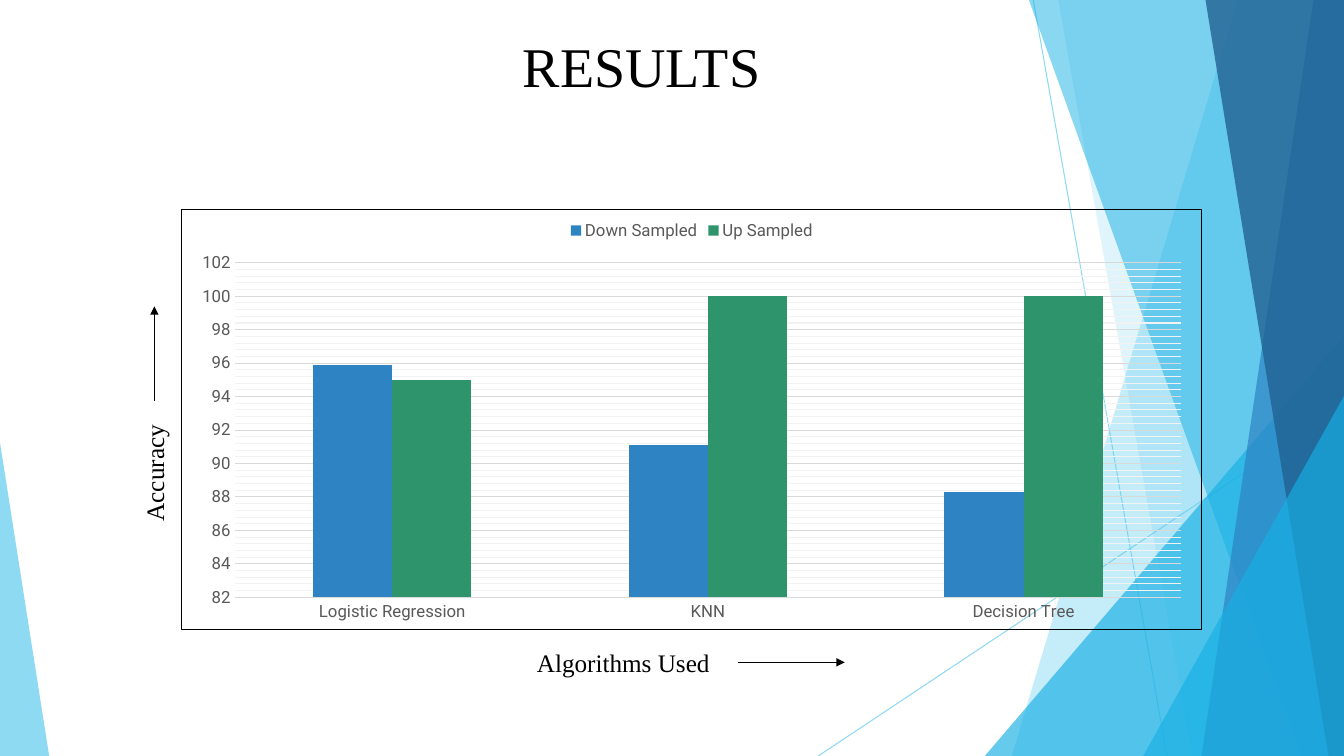
import pptx
import pptx.chart.data
import pptx.dml.color
import pptx.enum.chart
import pptx.enum.shapes
import pptx.oxml
import pptx.oxml.ns
import pptx.util
# Content; lengths in centimetres
WIDTH, HEIGHT = 33.87, 19.05
CATEGORIES = ["Logistic Regression", "KNN", "Decision Tree"]
SERIES = [
    ("Down Sampled", (95.9, 91.1, 88.3), "2E83C3"),
    ("Up Sampled", (95, 100, 100), "2E946B"),
]
CHART_BOX = (4.57, 5.26, 25.73, 10.62)

# text, box, size, rotation
LABELS = [
    ("RESULTS", (12.93, 0.66, 14.73, 1.96), 40, 0),
    ("Algorithms Used", (13.28, 16.18, 8, 1.02), 18, 0),
    ("Accuracy", (1.73, 10.72, 4.32, 1.02), 18, 270),
]
ARROWS = [(3.89, 10.11, 3.89, 7.72), (18.59, 16.69, 21.29, 16.69)]

# Background: thin lines, then facets from back to front
RAYS = [(26.04, 0, 29.41, HEIGHT), (WIDTH, 10.24, 20.62, HEIGHT)]
FACETS = [
    # kind, geometry, colour, opacity in percent
    # band: left edge at top and at bottom; triangle: left, top, width, apex
    ("band", (31.19, 25.5), "5FCBEF", 36),
    ("band", (26.67, 30.05), "5FCBEF", 20),
    ("triangle", (24.82, 8.46, 9.05, 1), "17B0E4", 66),
    ("band", (25.93, 32.79), "17B0E4", 50),
    ("band", (33.1, 30.28), "2E83C3", 70),
    ("band", (30.38, 33.48), "226292", 80),
    ("triangle", (28.81, 9.98, 5.06, 1), "17B0E4", 66),
    ("triangle", (0, 11.15, 1.24, 0), "5FCBEF", 70),
]


def cm(lengths):
    return [pptx.util.Cm(length) for length in lengths]


def paint(color_format, color):
    color_format.rgb = pptx.dml.color.RGBColor.from_string(color)


def add_xml(parent, tag, **attributes):
    element = pptx.oxml.parse_xml(f"<{tag} {pptx.oxml.ns.nsdecls('a')}/>")
    for name, value in attributes.items():
        element.set(name, str(value))
    parent.append(element)


def set_opacity(element, percent):
    color = element.find(".//" + pptx.oxml.ns.qn("a:srgbClr"))
    add_xml(color, "a:alpha", val=percent * 1000)


def style_line(line, color, width=0.75):
    paint(line.color, color)
    line.width = pptx.util.Pt(width)


def add_line(slide, ends, color, width):
    connector = slide.shapes.add_connector(
        pptx.enum.shapes.MSO_CONNECTOR.STRAIGHT, *cm(ends))
    style_line(connector.line, color, width)
    add_xml(connector._element.spPr, "a:effectLst")
    return connector


def add_facet(slide, kind, geometry, color, opacity):
    if kind == "band":
        top, bottom = geometry
        builder = slide.shapes.build_freeform(pptx.util.Cm(top), 0)
        corners = [(WIDTH, 0), (WIDTH, HEIGHT), (bottom, HEIGHT)]
        builder.add_line_segments([cm(corner) for corner in corners], close=True)
        shape = builder.convert_to_shape()
    else:
        left, top, width, apex = geometry
        shape = slide.shapes.add_shape(
            pptx.enum.shapes.MSO_SHAPE.ISOSCELES_TRIANGLE,
            *cm((left, top, width, HEIGHT - top)))
        shape.adjustments[0] = apex
    shape.shadow.inherit = False
    shape.fill.solid()
    paint(shape.fill.fore_color, color)
    set_opacity(shape._element.spPr, opacity)
    shape.line.fill.background()


def style_font(font, name, size, color):
    font.name, font.size = name, pptx.util.Pt(size)
    paint(font.color, color)


def add_label(slide, text, box, size, rotation):
    label = slide.shapes.add_textbox(*cm(box))
    label.rotation = rotation
    label.text_frame.word_wrap = True
    label.text_frame.text = text
    run = label.text_frame.paragraphs[0].runs[0]
    style_font(run.font, "Times New Roman", size, "000000")


def outline_xml(color):
    return (f'<c:spPr><a:noFill/><a:ln w="9525"><a:solidFill><a:srgbClr val="{color}"/>'
            "</a:solidFill></a:ln></c:spPr>")


def add_accuracy_chart(slide):
    data = pptx.chart.data.CategoryChartData()
    data.categories = CATEGORIES
    for name, values, _ in SERIES:
        data.add_series(name, values)
    chart = slide.shapes.add_chart(
        pptx.enum.chart.XL_CHART_TYPE.COLUMN_CLUSTERED, *cm(CHART_BOX), data).chart
    chart.has_title = False
    chart.has_legend = True
    chart.legend.position = pptx.enum.chart.XL_LEGEND_POSITION.TOP
    chart.legend.include_in_layout = False

    # Columns
    plot = chart.plots[0]
    plot.gap_width, plot.overlap, plot.vary_by_categories = 199, 0, False
    for series, (_, _, color) in zip(plot.series, SERIES):
        series.format.fill.solid()
        paint(series.format.fill.fore_color, color)

    # Axes and gridlines
    value_axis, category_axis = chart.value_axis, chart.category_axis
    for axis in (value_axis, category_axis):
        axis.major_tick_mark = pptx.enum.chart.XL_TICK_MARK.NONE
        axis.minor_tick_mark = pptx.enum.chart.XL_TICK_MARK.NONE
    for part in (chart, chart.legend, value_axis.tick_labels, category_axis.tick_labels):
        style_font(part.font, "Roboto", 12, "595959")
    style_line(category_axis.format.line, "D9D9D9")
    value_axis.format.line.fill.background()
    value_axis.minimum_scale, value_axis.maximum_scale = 82, 102
    value_axis.major_unit, value_axis.minor_unit = 2, 0.4
    style_line(value_axis.major_gridlines.format.line, "D9D9D9")
    namespaces = pptx.oxml.ns.nsdecls("c", "a")
    minor_gridlines = pptx.oxml.parse_xml(
        f"<c:minorGridlines {namespaces}>{outline_xml('F2F2F2')}</c:minorGridlines>")
    major_tag = pptx.oxml.ns.qn("c:majorGridlines")
    value_axis._element.find(major_tag).addnext(minor_gridlines)

    # Transparent chart area with a thin border
    border = outline_xml("000000").replace("<c:spPr>", f"<c:spPr {namespaces}>")
    chart_tag = pptx.oxml.ns.qn("c:chart")
    chart._chartSpace.find(chart_tag).addnext(pptx.oxml.parse_xml(border))


def main():
    presentation = pptx.Presentation()
    presentation.slide_width, presentation.slide_height = cm((WIDTH, HEIGHT))
    slide = presentation.slides.add_slide(presentation.slide_layouts[6])

    # Background
    for ends in RAYS:
        ray = add_line(slide, ends, "5FCBEF", 0.75)
        set_opacity(ray._element.spPr, 70)
    for facet in FACETS:
        add_facet(slide, *facet)

    # Title, axis labels and arrows
    for label in LABELS:
        add_label(slide, *label)
    for ends in ARROWS:
        arrow = add_line(slide, ends, "000000", 1)
        outline = arrow._element.spPr.find(pptx.oxml.ns.qn("a:ln"))
        add_xml(outline, "a:tailEnd", type="triangle")

    add_accuracy_chart(slide)
    presentation.save("out.pptx")


if __name__ == "__main__":
    main()
